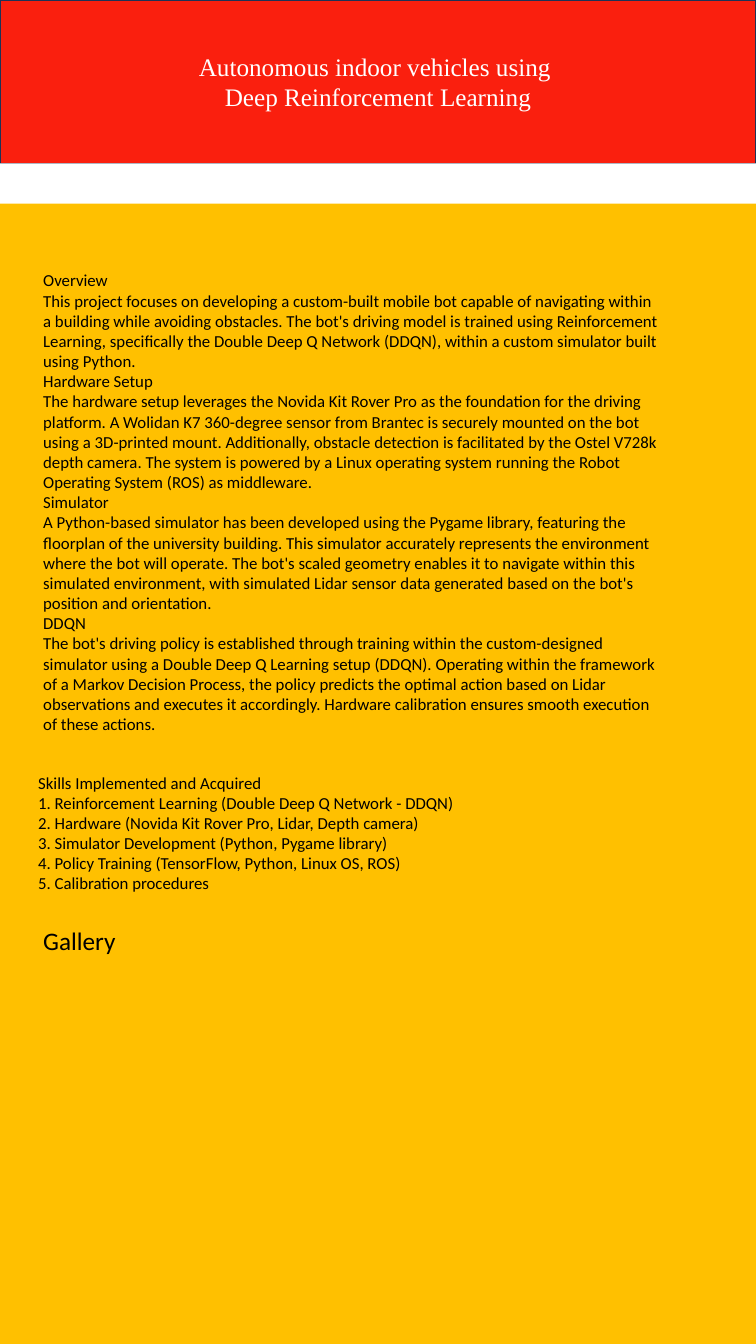
from dataclasses import dataclass

from pptx import Presentation
from pptx.dml.color import RGBColor
from pptx.enum.shapes import MSO_SHAPE
from pptx.enum.text import MSO_ANCHOR, MSO_AUTO_SIZE, PP_ALIGN
from pptx.util import Inches, Pt

TITLE = ["Autonomous indoor vehicles using ", "Deep Reinforcement Learning"]
SECTIONS = [
    ("Overview",
     "This project focuses on developing a custom-built mobile bot capable of "
     "navigating within a building while avoiding obstacles. The bot's driving "
     "model is trained using Reinforcement Learning, specifically the Double Deep "
     "Q Network (DDQN), within a custom simulator built using Python."),
    ("Hardware Setup",
     "The hardware setup leverages the Novida Kit Rover Pro as the foundation for "
     "the driving platform. A Wolidan K7 360-degree sensor from Brantec is securely "
     "mounted on the bot using a 3D-printed mount. Additionally, obstacle detection "
     "is facilitated by the Ostel V728k depth camera. The system is powered by a "
     "Linux operating system running the Robot Operating System (ROS) as "
     "middleware."),
    ("Simulator",
     "A Python-based simulator has been developed using the Pygame library, "
     "featuring the floorplan of the university building. This simulator accurately "
     "represents the environment where the bot will operate. The bot's scaled "
     "geometry enables it to navigate within this simulated environment, with "
     "simulated Lidar sensor data generated based on the bot's position and "
     "orientation."),
    ("DDQN",
     "The bot's driving policy is established through training within the "
     "custom-designed simulator using a Double Deep Q Learning setup (DDQN). "
     "Operating within the framework of a Markov Decision Process, the policy "
     "predicts the optimal action based on Lidar observations and executes it "
     "accordingly. Hardware calibration ensures smooth execution of these actions."),
]
SKILLS_HEAD = "Skills Implemented and Acquired"
SKILLS = [
    "Reinforcement Learning (Double Deep Q Network - DDQN)",
    "Hardware (Novida Kit Rover Pro, Lidar, Depth camera)",
    "Simulator Development (Python, Pygame library)",
    "Policy Training (TensorFlow, Python, Linux OS, ROS)",
    "Calibration procedures",
]
GALLERY = "Gallery"

WIDTH, HEIGHT = 7.5, 13.33
BANNER, STRIPE = 1.62, 0.4


@dataclass(frozen=True)
class Theme:
    page: RGBColor = RGBColor(0xFF, 0xC0, 0x00)
    banner: RGBColor = RGBColor(0xFA, 0x1F, 0x0E)
    edge: RGBColor = RGBColor(0x1E, 0x32, 0x56)
    white: RGBColor = RGBColor(0xFF, 0xFF, 0xFF)
    ink: RGBColor = RGBColor(0x00, 0x00, 0x00)
    serif: str = "Times New Roman"
    sans: str = "Calibri"
    large: int = 18
    small: int = 12


THEME = Theme()


def write(frame, lines, size, font=THEME.sans, color=THEME.ink, align=PP_ALIGN.LEFT):
    """Put each line in a paragraph of its own."""
    for index, line in enumerate(lines):
        para = frame.paragraphs[0] if index == 0 else frame.add_paragraph()
        para.alignment = align
        run = para.add_run()
        run.text = line
        run.font.name = font
        run.font.size = Pt(size)
        run.font.color.rgb = color


def add_text(slide, box, lines, size, wrap=False):
    frame = slide.shapes.add_textbox(*map(Inches, box)).text_frame
    frame.word_wrap = wrap
    frame.auto_size = MSO_AUTO_SIZE.SHAPE_TO_FIT_TEXT
    write(frame, lines, size)


def add_banner(slide):
    title = slide.shapes.title
    title.left, title.top = Inches(0), Inches(0)
    title.width, title.height = Inches(WIDTH), Inches(BANNER)
    title.fill.solid()
    title.fill.fore_color.rgb = THEME.banner
    title.line.color.rgb = THEME.edge
    title.line.width = Pt(1)
    frame = title.text_frame
    frame.word_wrap = True
    frame.auto_size = MSO_AUTO_SIZE.NONE
    frame.vertical_anchor = MSO_ANCHOR.MIDDLE
    write(frame, TITLE, THEME.large, THEME.serif, THEME.white, PP_ALIGN.CENTER)


def add_stripe(slide):
    box = map(Inches, (0, BANNER, WIDTH, STRIPE))
    stripe = slide.shapes.add_shape(MSO_SHAPE.RECTANGLE, *box)
    stripe.shadow.inherit = False
    stripe.fill.solid()
    stripe.fill.fore_color.rgb = THEME.white
    stripe.line.fill.background()


def main():
    deck = Presentation()
    deck.slide_width, deck.slide_height = Inches(WIDTH), Inches(HEIGHT)
    slide = deck.slides.add_slide(deck.slide_layouts[5])
    slide.background.fill.solid()
    slide.background.fill.fore_color.rgb = THEME.page

    add_banner(slide)
    add_stripe(slide)
    story = [line for section in SECTIONS for line in section]
    skills = [f"{rank}. {skill}" for rank, skill in enumerate(SKILLS, 1)]
    add_text(slide, (0.33, 2.63, 6.31, 5.15), story, THEME.small, wrap=True)
    add_text(slide, (0.28, 7.61, 4.37, 1.51), [SKILLS_HEAD, *skills], THEME.small)
    add_text(slide, (0.33, 9.13, 0.93, 0.4), [GALLERY], THEME.large)
    deck.save("out.pptx")


if __name__ == "__main__":
    main()
